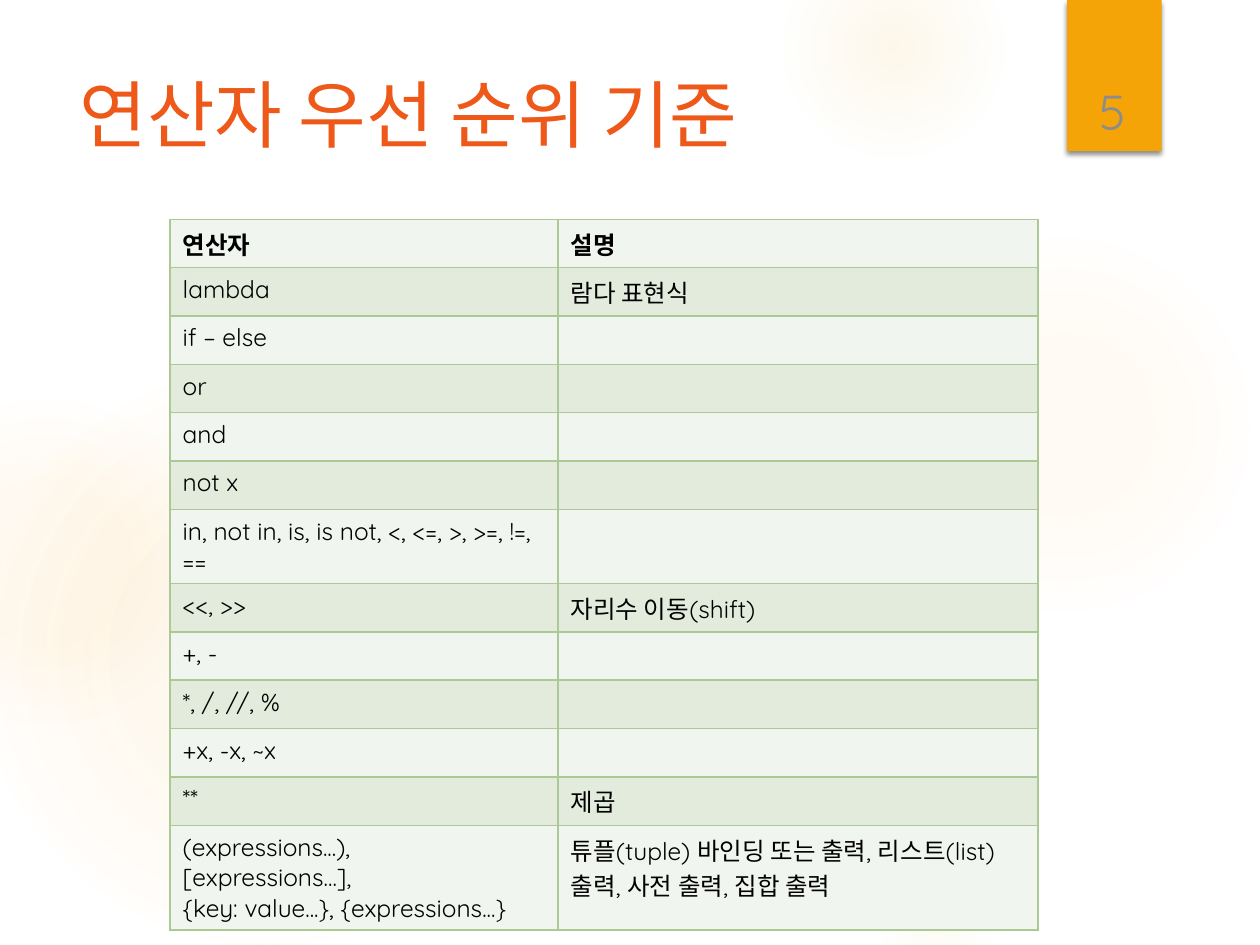
import pptx
import pptx.util
import pptx.oxml
import pptx.oxml.ns
import pptx.dml.color
import pptx.enum.shapes
import pptx.enum.text
import lxml.etree

Inches = pptx.util.Inches
Pt = pptx.util.Pt
Shape = pptx.enum.shapes.MSO_SHAPE
Align = pptx.enum.text.PP_ALIGN
Anchor = pptx.enum.text.MSO_ANCHOR
qn = pptx.oxml.ns.qn
NS = 'xmlns:a="http://schemas.openxmlformats.org/drawingml/2006/main"'

LATIN = "Quicksand"
KOREAN = "Noto Sans CJK KR"
COLORS = {
    "glow": "FAC96A", "tab": "F5A408", "title": "EE5818", "number": "8C8C8C",
    "text": "000000", "border": "ACC995", "light": "F1F5EF", "dark": "E3EBDD",
}
GLOWS = [
    (6.89, 1.83, 3.08, [(0, 7), (36, 6), (69, 0)]),
    (6.22, -0.5, 1.75, [(0, 14), (36, 7), (73, 0)]),
    (6.89, 6.67, 1.08, [(0, 10), (31, 5), (66, 0)]),
    (-0.17, 2.92, 4.58, [(0, 11), (36, 10), (75, 0)]),
    (-0.92, 3.17, 2.58, [(0, 8), (36, 8), (72, 0)]),
]
ROWS = [
    ("연산자", "설명"),
    ("lambda", "람다 표현식"),
    ("if – else", ""),
    ("or", ""),
    ("and", ""),
    ("not x", ""),
    ("in, not in, is, is not, <, <=, >, >=, !=, ==", ""),
    ("<<, >>", "자리수 이동(shift)"),
    ("+, -", ""),
    ("*, /, //, %", ""),
    ("+x, -x, ~x", ""),
    ("**", "제곱"),
    ("(expressions...),\n[expressions...],\n{key: value...}, {expressions...}",
     "튜플(tuple) 바인딩 또는 출력, 리스트(list) 출력, 사전 출력, 집합 출력"),
]
TALL = {6: 0.52, 12: 0.73}


def tint(name):
    """Return the named colour."""
    return pptx.dml.color.RGBColor.from_string(COLORS[name])


def xml(body):
    """Parse one drawing element, given without its namespace."""
    head, rest = body.split(">", 1)
    return pptx.oxml.parse_xml(f"{head} {NS}>{rest}")


def write(frame, text, size=14, color="text", bold=False, font=LATIN,
          align=Align.LEFT):
    """Fill a text frame with formatted lines."""
    for i, line in enumerate(text.split("\n")):
        para = frame.paragraphs[0] if i == 0 else frame.add_paragraph()
        para.alignment = align
        if not line:
            para._p.append(xml(f'<a:endParaRPr sz="{size * 100}">'
                               f'<a:latin typeface="{KOREAN}"/></a:endParaRPr>'))
            continue
        run = para.add_run()
        run.text = line
        run.font.size = Pt(size)
        run.font.bold = bold
        run.font.name = font
        run.font.color.rgb = tint(color)
        east = lxml.etree.Element(qn("a:ea"), typeface=KOREAN)
        run.font._element.find(qn("a:latin")).addnext(east)


def glow(slide, left, top, size, stops):
    """Draw a soft circle that fades outward."""
    disc = slide.shapes.add_shape(Shape.OVAL, Inches(left), Inches(top),
                                  Inches(size), Inches(size))
    disc.shadow.inherit = False
    disc.line.fill.background()
    marks = "".join(
        f'<a:gs pos="{at * 1000}"><a:srgbClr val="{COLORS["glow"]}">'
        f'<a:alpha val="{alpha * 1000}"/></a:srgbClr></a:gs>'
        for at, alpha in stops)
    fill = xml(f'<a:gradFill rotWithShape="1"><a:gsLst>{marks}</a:gsLst>'
               '<a:path path="circle"><a:fillToRect l="50000" t="50000" '
               'r="50000" b="50000"/></a:path></a:gradFill>')
    disc._element.spPr.find(qn("a:prstGeom")).addnext(fill)


def badge(slide, left, top, width, height):
    """Draw the hanging tab with the slide number."""
    tab = slide.shapes.add_shape(Shape.RECTANGLE, Inches(left), Inches(top),
                                 Inches(width), Inches(height))
    tab.fill.solid()
    tab.fill.fore_color.rgb = tint("tab")
    tab.line.fill.background()
    tab._element.spPr.append(xml(
        f'<a:effectLst><a:outerShdw blurRad="{Pt(3)}" dist="{Pt(2)}" '
        'dir="5400000" rotWithShape="0"><a:srgbClr val="000000">'
        '<a:alpha val="45000"/></a:srgbClr></a:outerShdw></a:effectLst>'))
    box = slide.shapes.add_textbox(Inches(left + 0.02), Inches(top + 0.32),
                                   Inches(width - 0.06), Inches(height - 0.36))
    box.text_frame.word_wrap = True
    box.text_frame.vertical_anchor = Anchor.BOTTOM
    write(box.text_frame, "5", size=28, color="number", align=Align.CENTER)


def title(slide, left, top, width, height):
    """Place the slide title."""
    head = slide.shapes.title
    head.left, head.top = Inches(left), Inches(top)
    head.width, head.height = Inches(width), Inches(height)
    head.text_frame.auto_size = pptx.enum.text.MSO_AUTO_SIZE.NONE
    head.text_frame.vertical_anchor = Anchor.TOP
    write(head.text_frame, "연산자 우선 순위 기준", size=42, color="title",
          font=KOREAN)


def edge(cell):
    """Put a thin border on all sides of a cell."""
    props = cell._tc.get_or_add_tcPr()
    for side in ("lnL", "lnR", "lnT", "lnB"):
        props.append(xml(f'<a:{side} w="{Pt(1)}"><a:solidFill><a:srgbClr '
                         f'val="{COLORS["border"]}"/></a:solidFill></a:{side}>'))


def grid(slide, left, top, widths):
    """Build the table of operators."""
    highs = [TALL.get(i, 0.31) for i in range(len(ROWS))]
    table = slide.shapes.add_table(
        len(ROWS), len(widths), Inches(left), Inches(top),
        Inches(sum(widths)), Inches(sum(highs))).table
    table.horz_banding = False
    for col, width in zip(table.columns, widths):
        col.width = Inches(width)
    for i, texts in enumerate(ROWS):
        table.rows[i].height = Inches(highs[i])
        for j, text in enumerate(texts):
            cell = table.cell(i, j)
            edge(cell)
            cell.fill.solid()
            cell.fill.fore_color.rgb = tint("dark" if i % 2 else "light")
            write(cell.text_frame, text, bold=i == 0)


def main():
    """Build and save the slide."""
    deck = pptx.Presentation()
    deck.slide_width, deck.slide_height = Inches(10), Inches(7.5)
    slide = deck.slides.add_slide(deck.slide_layouts[5])
    for spot in GLOWS:
        glow(slide, *spot)
    title(slide, 0.53, 0.5, 7.72, 1.53)
    grid(slide, 1.35, 1.74, (3.08, 3.81))
    badge(slide, 8.47, 0, 0.75, 1.2)
    deck.save("out.pptx")


if __name__ == "__main__":
    main()
